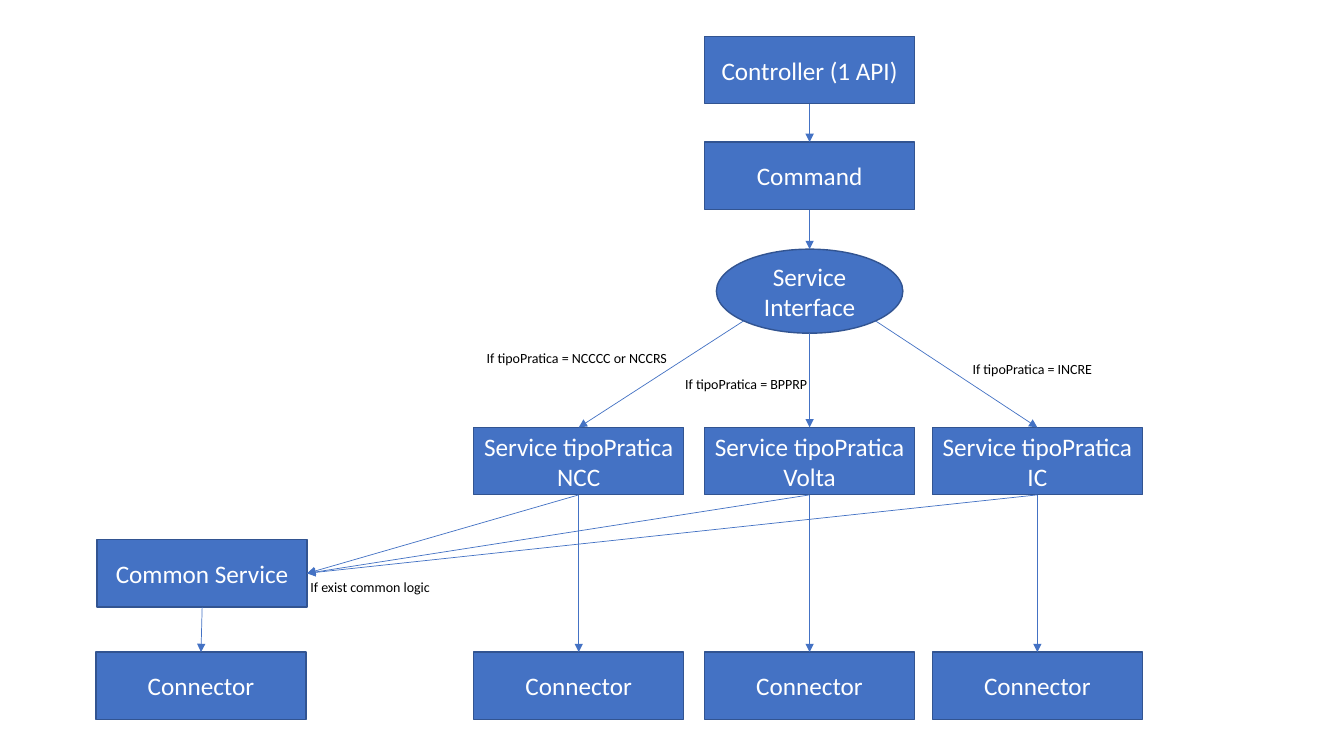
from pptx import Presentation
from pptx import util as u
from pptx.dml.color import RGBColor
from pptx.enum import shapes, text
from pptx.oxml.ns import qn
from lxml import etree

FILL, OUTLINE, WHITE, BLACK = "4472C4", "325491", "FFFFFF", "000000"
BOX_WIDTH, BOX_HEIGHT = 150, 48.2
LEFT_COLUMN, MIDDLE_COLUMN, RIGHT_COLUMN = 338.4, 503.3, 666
SERVICE_TOP, CONNECTOR_TOP = 305.3, 465.8
TOP, LEFT, BOTTOM, RIGHT = (0.5, 0), (0, 0.5), (0.5, 1), (1, 0.5)
LOWER_LEFT, LOWER_RIGHT = (0.146, 0.854), (0.854, 0.854)
GLUE_SITES = {TOP: 0, LEFT: 1, BOTTOM: 2, RIGHT: 3}


def colour(hex_value):
    return RGBColor.from_string(hex_value)


def set_attributes(target, values):
    for name, value in values.items():
        setattr(target, name, value)


def write(shape, wording, size, hex_value, alignment):
    paragraph = shape.text_frame.paragraphs[0]
    paragraph.alignment = alignment
    run = paragraph.add_run()
    run.text = wording
    set_attributes(run.font, {"name": "Calibri", "size": u.Pt(size)})
    run.font.color.rgb = colour(hex_value)


def add_node(slide, wording, left, top, width=BOX_WIDTH, height=BOX_HEIGHT,
             kind=shapes.MSO_SHAPE.RECTANGLE):
    node = slide.shapes.add_shape(kind, u.Pt(left), u.Pt(top), u.Pt(width), u.Pt(height))
    node.shadow.inherit = False
    node.fill.solid()
    node.fill.fore_color.rgb = colour(FILL)
    node.line.color.rgb = colour(OUTLINE)
    node.line.width = u.Pt(1)
    set_attributes(node.text_frame, {"word_wrap": True,
                                     "vertical_anchor": text.MSO_ANCHOR.MIDDLE})
    write(node, wording, 18, WHITE, text.PP_ALIGN.CENTER)
    return node


def add_label(slide, wording, left, top, width):
    label = slide.shapes.add_textbox(u.Pt(left), u.Pt(top), u.Pt(width), u.Pt(19.4))
    set_attributes(label.text_frame, {"word_wrap": False,
                                      "auto_size": text.MSO_AUTO_SIZE.SHAPE_TO_FIT_TEXT})
    write(label, wording, 10, BLACK, text.PP_ALIGN.LEFT)


def point_on(node, site):
    across, down = site
    return round(node.left + across * node.width), round(node.top + down * node.height)


def add_arrow(slide, start, end, start_site=BOTTOM, end_site=TOP):
    """Join two nodes; sites are fractions of a node's width and height."""
    arrow = slide.shapes.add_connector(shapes.MSO_CONNECTOR.STRAIGHT,
                                       *point_on(start, start_site), *point_on(end, end_site))
    if start.auto_shape_type == shapes.MSO_SHAPE.RECTANGLE:
        arrow.begin_connect(start, GLUE_SITES[start_site])
    if end.auto_shape_type == shapes.MSO_SHAPE.RECTANGLE:
        arrow.end_connect(end, GLUE_SITES[end_site])
    arrow.line.color.rgb = colour(FILL)
    arrow.line.width = u.Pt(0.5)
    etree.SubElement(arrow.line._get_or_add_ln(), qn("a:tailEnd"), type="triangle")
    etree.SubElement(arrow._element.spPr, qn("a:effectLst"))


def add_entry_chain(slide):
    """Draw the controller, command and interface; return the interface."""
    controller = add_node(slide, "Controller (1 API)", MIDDLE_COLUMN, 25.9)
    command = add_node(slide, "Command", MIDDLE_COLUMN, 101.5)
    interface = add_node(slide, "Service Interface", 511.7, 178, 133.2, 60,
                         shapes.MSO_SHAPE.OVAL)
    add_arrow(slide, controller, command)
    add_arrow(slide, command, interface)
    return interface


def add_service(slide, wording, left, interface, interface_site):
    """Draw one service column, from the interface down to its connector."""
    service = add_node(slide, wording, left, SERVICE_TOP)
    connector = add_node(slide, "Connector", left, CONNECTOR_TOP)
    add_arrow(slide, interface, service, interface_site)
    add_arrow(slide, service, connector)
    return service


def add_common_service(slide, services):
    common = add_node(slide, "Common Service", 69.4, 385.4)
    connector = add_node(slide, "Connector", 68.6, CONNECTOR_TOP)
    add_arrow(slide, common, connector)
    for service in services:
        add_arrow(slide, service, common, BOTTOM, RIGHT)


def build_service_slide(presentation):
    slide = presentation.slides.add_slide(presentation.slide_layouts.get_by_name("Blank"))
    interface = add_entry_chain(slide)
    services = [add_service(slide, wording, left, interface, site) for wording, left, site in (
        ("Service tipoPratica NCC", LEFT_COLUMN, LOWER_LEFT),
        ("Service tipoPratica Volta", MIDDLE_COLUMN, BOTTOM),
        ("Service tipoPratica IC", RIGHT_COLUMN, LOWER_RIGHT),
    )]
    add_common_service(slide, services)
    for wording, left, top, width in (
        ("If tipoPratica = NCCCC or NCCRS", 340.6, 246.2, 146.2),
        ("If tipoPratica = BPPRP", 482.4, 265, 103),
        ("If tipoPratica = INCRE", 687.6, 254.2, 101.5),
        ("If exist common logic", 214.6, 409.7, 101.5),
    ):
        add_label(slide, wording, left, top, width)


def main():
    presentation = Presentation()
    set_attributes(presentation, {"slide_width": u.Pt(960), "slide_height": u.Pt(540)})
    build_service_slide(presentation)
    presentation.save("out.pptx")


if __name__ == "__main__":
    main()
